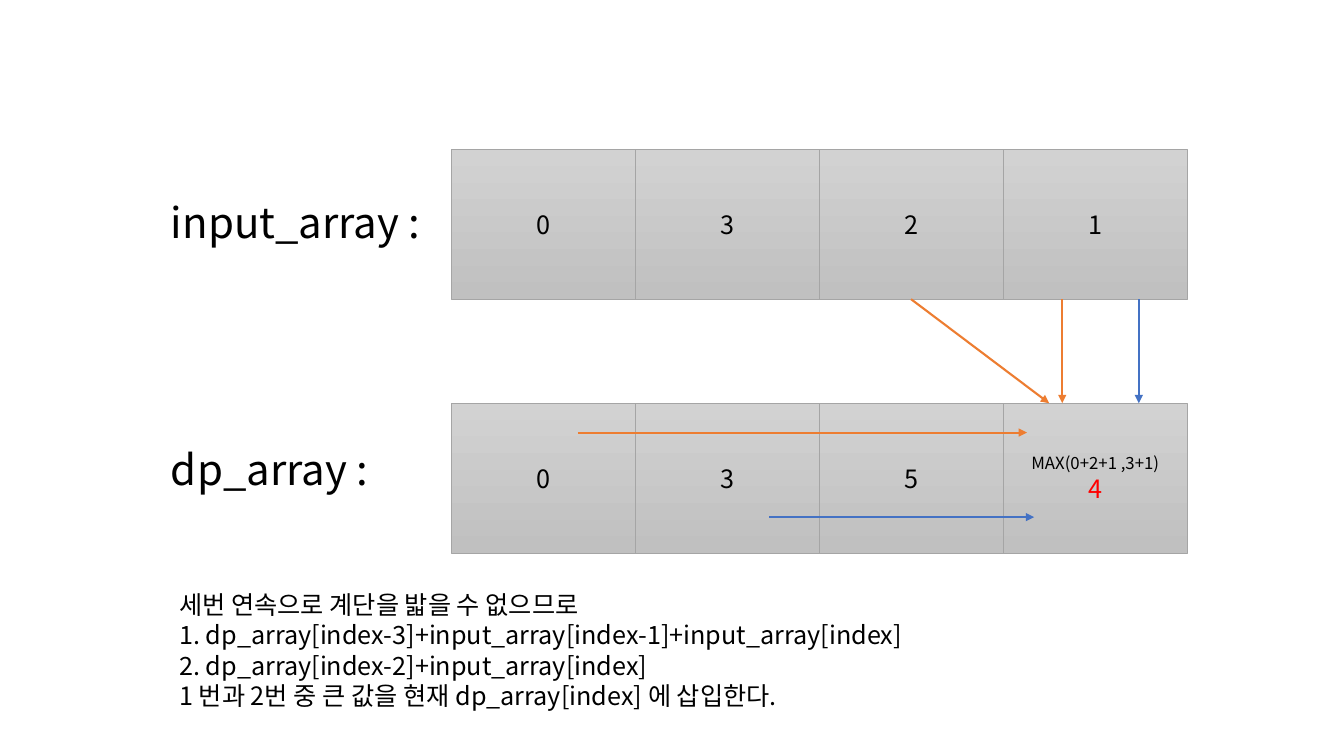
from lxml import etree
from pptx import Presentation
from pptx import util as u
from pptx.dml.color import RGBColor
from pptx.enum import shapes, text
from pptx.oxml import ns

FONT = "Noto Sans CJK KR"
BLACK = RGBColor(0, 0, 0)
RED = RGBColor(0xFF, 0, 0)
BLUE = RGBColor(0x44, 0x72, 0xC4)
ORANGE = RGBColor(0xED, 0x7D, 0x31)
BORDER = RGBColor(0xA5, 0xA5, 0xA5)
CELL_TOP = RGBColor(0xD2, 0xD2, 0xD2)
CELL_BOTTOM = RGBColor(0xC0, 0xC0, 0xC0)

LABEL_LEFT = 4.06
ARRAY_LEFT, ARRAY_WIDTH, ARRAY_HEIGHT = 11.38, 18.54, 3.78
INPUT_TOP, DP_TOP = 3.76, 10.16


def write_lines(frame, lines, alignment):
    frame.word_wrap = True
    for index, (content, size, color) in enumerate(lines):
        paragraph = frame.paragraphs[0] if index == 0 else frame.add_paragraph()
        paragraph.alignment = alignment
        run = paragraph.add_run()
        run.text = content
        run.font.size = u.Pt(size)
        run.font.name = FONT
        run.font.color.rgb = color
        east_asian = etree.SubElement(run.font._element, ns.qn("a:ea"))
        east_asian.set("typeface", FONT)


def add_text(slide, left, top, width, height, lines):
    box = slide.shapes.add_textbox(u.Cm(left), u.Cm(top), u.Cm(width), u.Cm(height))
    write_lines(box.text_frame, lines, text.PP_ALIGN.LEFT)


def add_cell(slide, left, top, width, height, lines):
    cell = slide.shapes.add_shape(shapes.MSO_SHAPE.RECTANGLE,
                                  u.Cm(left), u.Cm(top), u.Cm(width), u.Cm(height))
    cell.shadow.inherit = False
    cell.fill.gradient()
    cell.fill.gradient_angle = 270
    for stop, color in zip(cell.fill.gradient_stops, (CELL_TOP, CELL_BOTTOM)):
        stop.color.rgb = color
    cell.line.color.rgb = BORDER
    cell.line.width = u.Pt(0.5)
    cell.text_frame.vertical_anchor = text.MSO_ANCHOR.MIDDLE
    write_lines(cell.text_frame, lines, text.PP_ALIGN.CENTER)


def add_array(slide, left, top, width, height, label, label_offset, cells):
    add_text(slide, LABEL_LEFT, top + label_offset, 7.11, 1.55, [(label, 30, BLACK)])
    cell_width = width / len(cells)
    for index, lines in enumerate(cells):
        add_cell(slide, left + index * cell_width, top, cell_width, height, lines)


def add_arrows(slide, left, top, arrows):
    for start_x, start_y, end_x, end_y, color in arrows:
        arrow = slide.shapes.add_connector(
            shapes.MSO_CONNECTOR.STRAIGHT,
            u.Cm(left + start_x), u.Cm(top + start_y),
            u.Cm(left + end_x), u.Cm(top + end_y))
        arrow.line.color.rgb = color
        arrow.line.width = u.Pt(1.5)
        head = etree.SubElement(arrow.line._get_or_add_ln(), ns.qn("a:tailEnd"))
        head.set("type", "triangle")
        etree.SubElement(arrow._element.spPr, ns.qn("a:effectLst"))


def add_explanation(slide, left, top, width, height):
    sentences = [
        "세번 연속으로 계단을 밟을 수 없으므로 ",
        "1. dp_array[index-3]+input_array[index-1]+input_array[index]",
        "2. dp_array[index-2]+input_array[index]",
        "1 번과 2번 중 큰 값을 현재 dp_array[index] 에 삽입한다.",
    ]
    add_text(slide, left, top, width, height,
             [(sentence, 18, BLACK) for sentence in sentences])


def number_cells(numbers):
    return [[(str(number), 18, BLACK)] for number in numbers]


presentation = Presentation()
presentation.slide_width = u.Cm(33.87)
presentation.slide_height = u.Cm(19.05)
slide = presentation.slides.add_slide(presentation.slide_layouts[6])

add_array(slide, ARRAY_LEFT, INPUT_TOP, ARRAY_WIDTH, ARRAY_HEIGHT,
          "input_array : ", 1.07, number_cells([0, 3, 2, 1]))
result_cell = [("MAX(0+2+1 ,3+1)", 12, BLACK), ("4", 18, RED)]
add_array(slide, ARRAY_LEFT, DP_TOP, ARRAY_WIDTH, ARRAY_HEIGHT,
          "dp_array : ", 0.89, number_cells([0, 3, 5]) + [result_cell])

gap = DP_TOP - INPUT_TOP - ARRAY_HEIGHT
add_arrows(slide, ARRAY_LEFT, INPUT_TOP + ARRAY_HEIGHT, [
    (17.32, 0, 17.32, gap, BLUE),
    (11.58, 0, 15.06, gap, ORANGE),
    (15.39, 0, 15.39, gap, ORANGE),
])
add_arrows(slide, ARRAY_LEFT, DP_TOP, [
    (8, 2.87, 14.68, 2.87, BLUE),
    (3.18, 0.74, 14.5, 0.74, ORANGE),
])
add_explanation(slide, 4.27, 14.73, 21, 4.11)

presentation.save("out.pptx")
